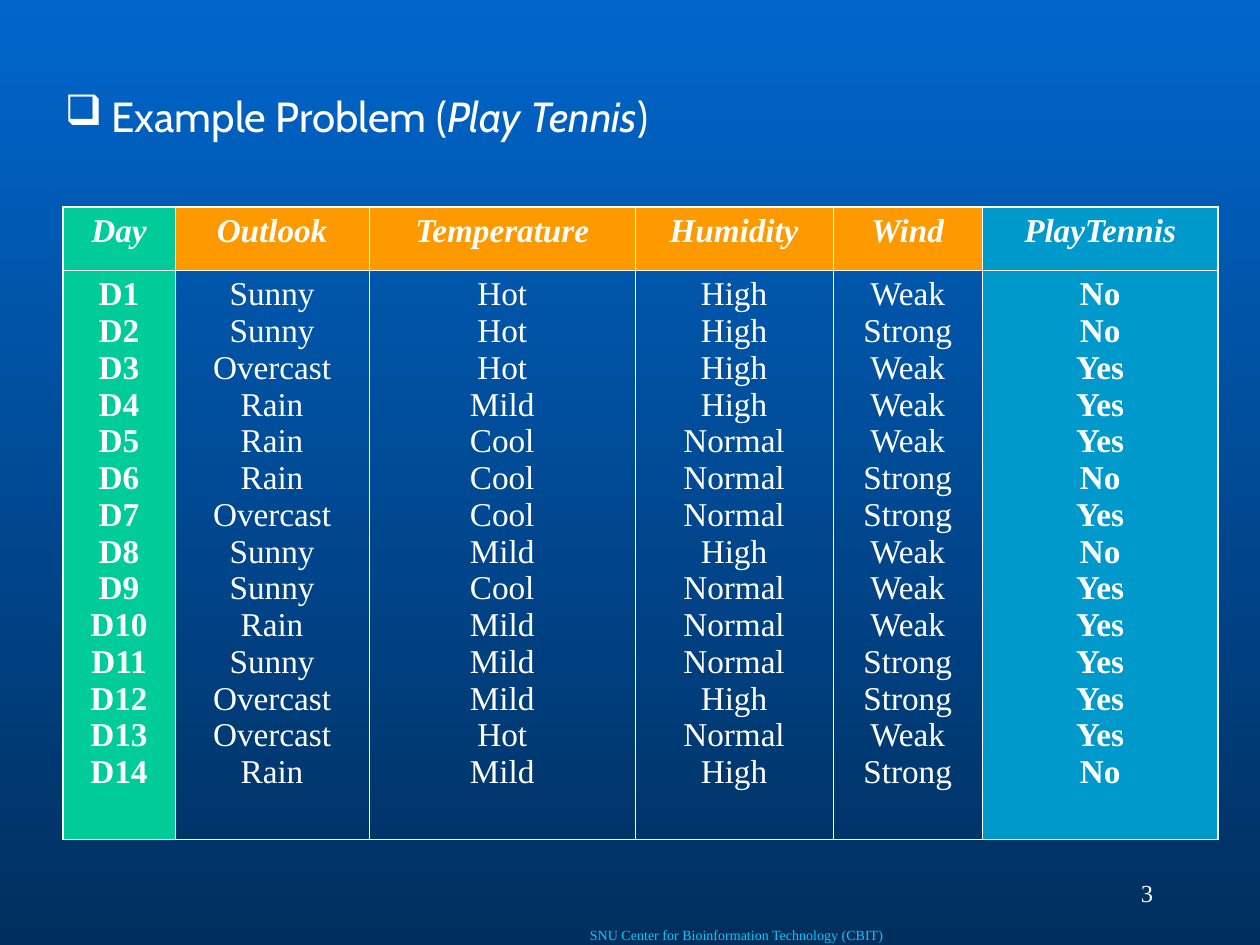
from lxml.etree import SubElement
from pptx import Presentation
from pptx.dml.color import RGBColor
from pptx.enum.text import MSO_ANCHOR, PP_ALIGN
from pptx.oxml.ns import qn
from pptx.util import Pt

WHITE, GREEN, ORANGE, BLUE, CYAN = "FFFFFF", "00CC99", "FF9900", "0099CC", "00CCFF"
BACKGROUND = ["0066CC", "002F5E"]
SERIF = "Times New Roman"

TITLE = [(" Example Problem (", False), ("Play Tennis", True), (")", False)]
FOOTER = "SNU Center for Bioinformation Technology (CBIT)"
PAGE = "3"

# heading, width, heading fill, body fill, bold body
COLUMNS = [
    ("Day", 64, GREEN, GREEN, True),
    ("Outlook", 111, ORANGE, None, False),
    ("Temperature", 152, ORANGE, None, False),
    ("Humidity", 113, ORANGE, None, False),
    ("Wind", 85.5, ORANGE, None, False),
    ("PlayTennis", 134.5, BLUE, BLUE, True),
]
EXAMPLES = [
    ("D1", "Sunny", "Hot", "High", "Weak", "No"),
    ("D2", "Sunny", "Hot", "High", "Strong", "No"),
    ("D3", "Overcast", "Hot", "High", "Weak", "Yes"),
    ("D4", "Rain", "Mild", "High", "Weak", "Yes"),
    ("D5", "Rain", "Cool", "Normal", "Weak", "Yes"),
    ("D6", "Rain", "Cool", "Normal", "Strong", "No"),
    ("D7", "Overcast", "Cool", "Normal", "Strong", "Yes"),
    ("D8", "Sunny", "Mild", "High", "Weak", "No"),
    ("D9", "Sunny", "Cool", "Normal", "Weak", "Yes"),
    ("D10", "Rain", "Mild", "Normal", "Weak", "Yes"),
    ("D11", "Sunny", "Mild", "Normal", "Strong", "Yes"),
    ("D12", "Overcast", "Mild", "High", "Strong", "Yes"),
    ("D13", "Overcast", "Hot", "Normal", "Weak", "Yes"),
    ("D14", "Rain", "Mild", "High", "Strong", "No"),
]
ROW_HEIGHTS = [36, 325.5]
TABLE_LEFT, TABLE_TOP = 36, 118.25
OUTER, INNER = 1.08, 0.45


def rgb(value):
    return RGBColor.from_string(value)


def write(paragraph, text, color=WHITE, **formats):
    run = paragraph.add_run()
    run.text = text
    run.font.color.rgb = rgb(color)
    for key, value in formats.items():
        setattr(run.font, key, value)


def add_box(slide, left, top, width, height, anchor=MSO_ANCHOR.TOP):
    """Add a text box and return its first paragraph."""
    frame = slide.shapes.add_textbox(Pt(left), Pt(top), Pt(width), Pt(height)).text_frame
    frame.word_wrap = True
    frame.vertical_anchor = anchor
    return frame.paragraphs[0]


def add_bullet(paragraph, symbol, color):
    properties = paragraph._p.get_or_add_pPr()
    bullet_color = SubElement(properties, qn("a:buClr"))
    SubElement(bullet_color, qn("a:srgbClr"), val=color)
    SubElement(properties, qn("a:buChar"), char=symbol)


def set_borders(cell, widths):
    """Draw white borders; widths are left, right, top, bottom."""
    properties = cell._tc.get_or_add_tcPr()
    for index, (side, width) in enumerate(zip("LRTB", widths)):
        line = SubElement(properties, qn(f"a:ln{side}"), w=str(int(Pt(width))))
        SubElement(SubElement(line, qn("a:solidFill")), qn("a:srgbClr"), val=WHITE)
        properties.insert(index, line)


def fill_cell(cell, lines, color, **formats):
    if color:
        cell.fill.solid()
        cell.fill.fore_color.rgb = rgb(color)
    else:
        cell.fill.background()
    frame = cell.text_frame
    for index, text in enumerate(lines):
        paragraph = frame.add_paragraph() if index else frame.paragraphs[0]
        paragraph.alignment = PP_ALIGN.CENTER
        paragraph.line_spacing = Pt(21)
        write(paragraph, text, name=SERIF, size=Pt(19), **formats)


def add_examples(slide):
    total = sum(column[1] for column in COLUMNS)
    table = slide.shapes.add_table(2, len(COLUMNS), Pt(TABLE_LEFT), Pt(TABLE_TOP),
                                   Pt(total), Pt(sum(ROW_HEIGHTS))).table
    table.first_row = table.horz_banding = False
    for row, height in zip(table.rows, ROW_HEIGHTS):
        row.height = Pt(height)
    last = len(COLUMNS) - 1
    values = zip(*EXAMPLES)
    for index, (column, lines) in enumerate(zip(COLUMNS, values)):
        heading, width, heading_fill, body_fill, bold = column
        table.columns[index].width = Pt(width)
        head, body = table.cell(0, index), table.cell(1, index)
        fill_cell(head, [heading], heading_fill, bold=True, italic=True)
        fill_cell(body, lines, body_fill, bold=bold)
        left = OUTER if index == 0 else INNER
        right = OUTER if index == last else INNER
        set_borders(head, (left, right, OUTER, INNER))
        set_borders(body, (left, right, INNER, OUTER))


def main():
    deck = Presentation()
    deck.slide_width, deck.slide_height = Pt(720), Pt(540)
    slide = deck.slides.add_slide(deck.slide_layouts[6])

    backdrop = slide.background.fill
    backdrop.gradient()
    backdrop.gradient_angle = 270
    for stop, color, position in zip(backdrop.gradient_stops, BACKGROUND, (0, 1)):
        stop.color.rgb = rgb(color)
        stop.position = position

    add_examples(slide)

    title = add_box(slide, 30, 48, 384, 36)
    add_bullet(title, "❑", WHITE)
    for text, italic in TITLE:
        write(title, text, name="Cabin", size=Pt(24), italic=italic)

    footer = add_box(slide, 330, 528, 228, 12, MSO_ANCHOR.MIDDLE)
    write(footer, FOOTER, CYAN, name=SERIF, size=Pt(8))

    page = add_box(slide, 516, 492, 150, 36, MSO_ANCHOR.MIDDLE)
    page.alignment = PP_ALIGN.RIGHT
    write(page, PAGE, name=SERIF, size=Pt(14))

    deck.save("out.pptx")


if __name__ == "__main__":
    main()
